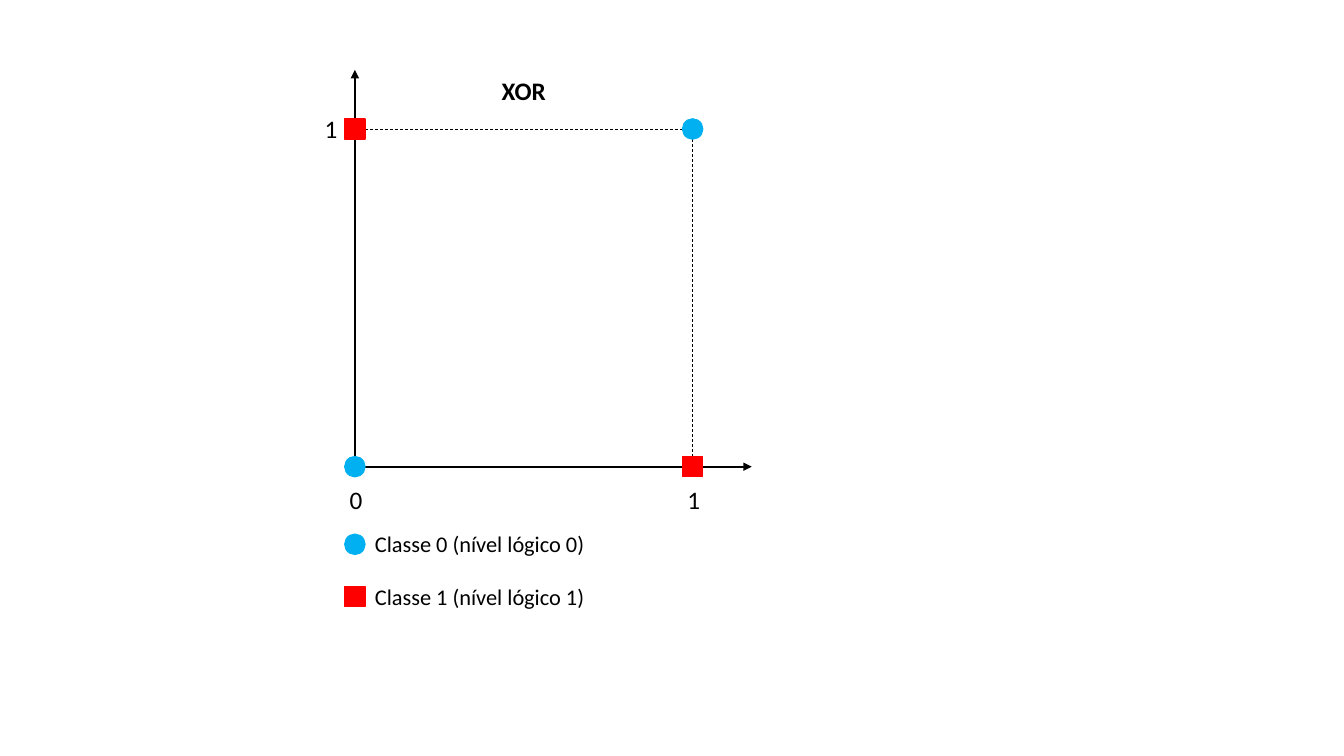
from lxml import etree
from pptx import Presentation
from pptx.dml.color import RGBColor
from pptx.enum.dml import MSO_LINE
from pptx.enum.shapes import MSO_CONNECTOR, MSO_SHAPE
from pptx.enum.text import MSO_AUTO_SIZE, PP_ALIGN
from pptx.oxml.ns import qn
from pptx.util import Inches, Pt

STRAIGHT = MSO_CONNECTOR.STRAIGHT
DASH = MSO_LINE.DASH
LEFT, CENTER = PP_ALIGN.LEFT, PP_ALIGN.CENTER

# Content
TITLE = "XOR"
COLORS = {"ink": "000000", "class_0": "00B0F0", "class_1": "FF0000"}
CLASSES = [
    ("Classe 0 (nível lógico 0)", MSO_SHAPE.OVAL, COLORS["class_0"]),
    ("Classe 1 (nível lógico 1)", MSO_SHAPE.RECTANGLE, COLORS["class_1"]),
]
INPUTS = [(0, 0), (0, 1), (1, 0), (1, 1)]
AXES = [((0, 0), (0, 1.175)), ((0, 0), (1.175, 0))]
GUIDES = [((0, 1), (1, 1)), ((1, 1), (1, 0))]

# Layout in inches; the plot is a grid whose cell is one logic unit
SLIDE_WIDTH, SLIDE_HEIGHT = 13.33, 7.5
ORIGIN_X, ORIGIN_Y = 3.52, 4.63
UNIT = 3.35
MARKER = 0.2
DIGIT_WIDTH, LINE_HEIGHT = 0.29, 0.4
LEGEND_TOP, LEGEND_STEP = 5.4, 0.52
LEGEND_WIDTH, LEGEND_HEIGHT = 2.79, 0.37

presentation = Presentation()
presentation.slide_width = Inches(SLIDE_WIDTH)
presentation.slide_height = Inches(SLIDE_HEIGHT)
slide = presentation.slides.add_slide(presentation.slide_layouts[6])


def plot_point(x, y):
    """Turn logic coordinates into inches on the slide."""
    return ORIGIN_X + x * UNIT, ORIGIN_Y - y * UNIT


def add_line(start, end, width, dash=None, arrow=False):
    ends = [Inches(value) for point in (start, end) for value in plot_point(*point)]
    connector = slide.shapes.add_connector(STRAIGHT, *ends)
    connector.line.color.rgb = RGBColor.from_string(COLORS["ink"])
    connector.line.width = Pt(width)
    if dash:
        connector.line.dash_style = dash
    if arrow:
        outline = connector.line._get_or_add_ln()
        etree.SubElement(outline, qn("a:tailEnd"), type="triangle")
    etree.SubElement(connector._element.spPr, qn("a:effectLst"))


def add_marker(center_x, center_y, kind, color):
    shape = slide.shapes.add_shape(
        kind, Inches(center_x - MARKER / 2), Inches(center_y - MARKER / 2),
        Inches(MARKER), Inches(MARKER))
    shape.shadow.inherit = False
    shape.fill.solid()
    shape.fill.fore_color.rgb = RGBColor.from_string(color)
    shape.line.color.rgb = RGBColor.from_string(color)
    shape.line.width = Pt(1)


def add_text(text, left, top, width, height, size=18, bold=False, align=LEFT):
    box = slide.shapes.add_textbox(
        Inches(left), Inches(top), Inches(width), Inches(height))
    frame = box.text_frame
    frame.word_wrap = True
    frame.auto_size = MSO_AUTO_SIZE.SHAPE_TO_FIT_TEXT
    paragraph = frame.paragraphs[0]
    paragraph.alignment = align
    run = paragraph.add_run()
    run.text = text
    run.font.name = "Calibri"
    run.font.size = Pt(size)
    run.font.bold = bold
    run.font.color.rgb = RGBColor.from_string(COLORS["ink"])


for start, end in AXES:
    add_line(start, end, 1.5, arrow=True)
for start, end in GUIDES:
    add_line(start, end, 0.5, dash=DASH)

for a, b in INPUTS:
    label, kind, color = CLASSES[a ^ b]
    add_marker(*plot_point(a, b), kind, color)

for value in (0, 1):
    x, y = plot_point(value, 0)
    add_text(str(value), x - 0.15, y + 0.13, DIGIT_WIDTH, LINE_HEIGHT)
x, y = plot_point(0, 1)
add_text("1", x - 0.4, y - LINE_HEIGHT / 2, DIGIT_WIDTH, LINE_HEIGHT)
add_text(TITLE, x, y - 0.58, UNIT, LINE_HEIGHT, bold=True, align=CENTER)

for row, (label, kind, color) in enumerate(CLASSES):
    middle = LEGEND_TOP + row * LEGEND_STEP
    add_marker(ORIGIN_X, middle, kind, color)
    add_text(label, ORIGIN_X + MARKER / 2, middle - LEGEND_HEIGHT / 2,
             LEGEND_WIDTH, LEGEND_HEIGHT, size=16)

presentation.save("out.pptx")
